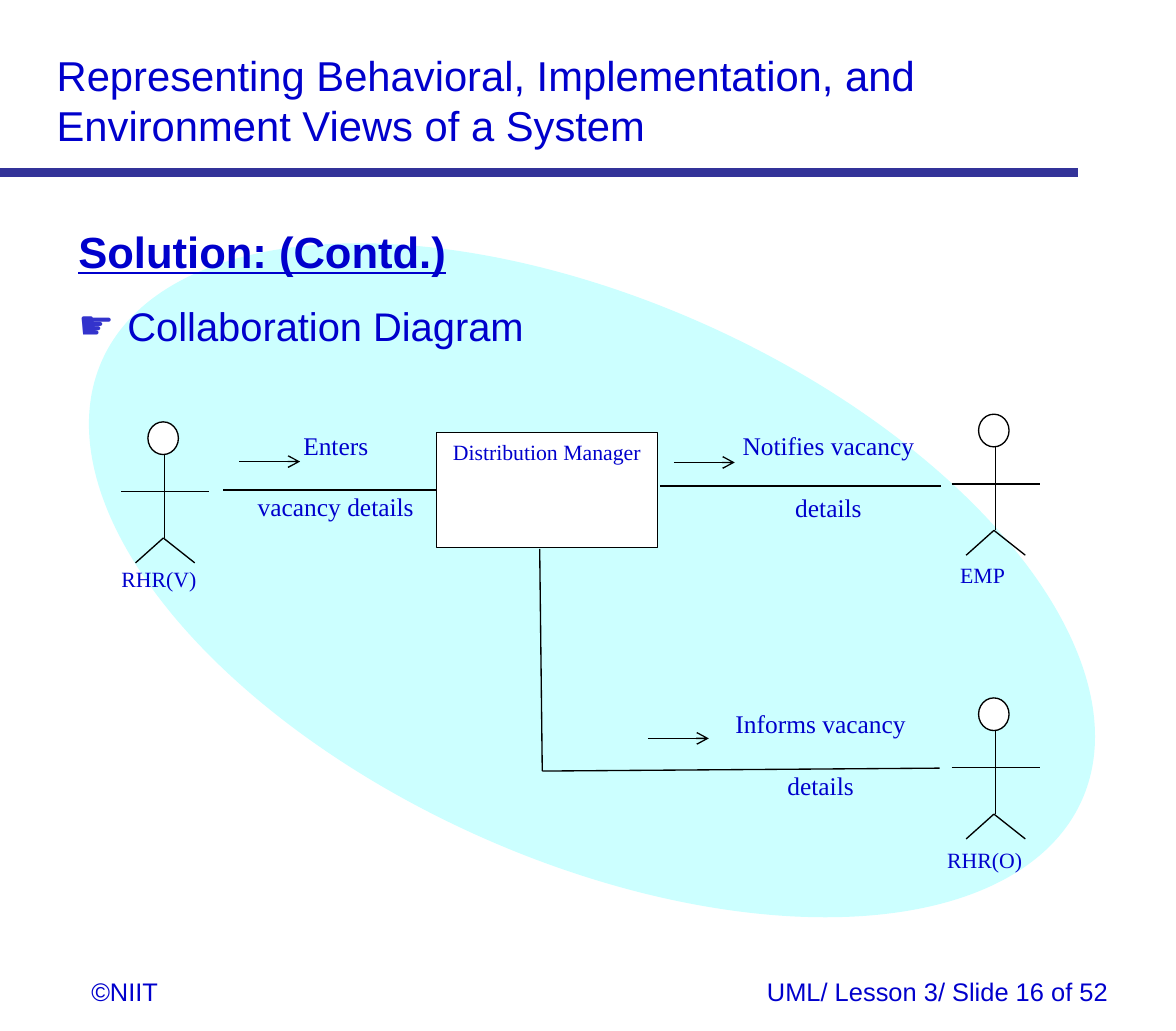
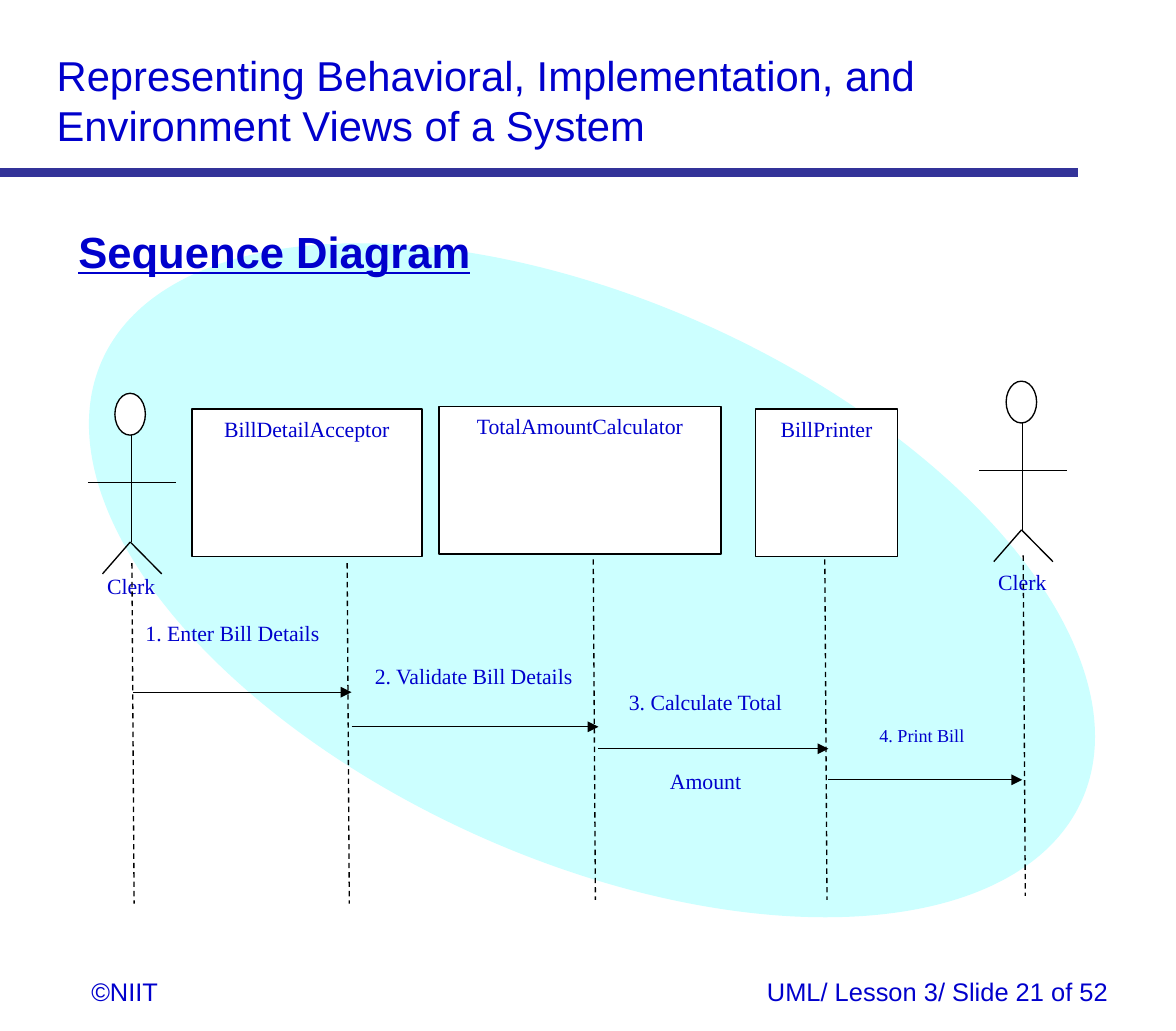
from dataclasses import dataclass
from lxml import etree
from pptx import Presentation
from pptx import util as u
from pptx.dml.color import RGBColor
from pptx.enum import dml, shapes, text
from pptx.oxml.ns import qn


@dataclass(frozen=True)
class Theme:
    ink: RGBColor = RGBColor.from_string("0000CC")
    rule: RGBColor = RGBColor.from_string("333399")
    bullet: str = "3333CC"
    ellipse: RGBColor = RGBColor.from_string("CCFFFF")
    paper: RGBColor = RGBColor.from_string("FFFFFF")
    stroke: RGBColor = RGBColor.from_string("000000")
    sans: str = "Arial"
    serif: str = "Times New Roman"
    title: int = 23
    heading: int = 24
    item: int = 22
    footer: int = 14
    message: int = 14
    label: int = 12
    small: int = 10
    thin: float = 0.75


theme = Theme()
LEFT, CENTER, RIGHT = text.PP_ALIGN.LEFT, text.PP_ALIGN.CENTER, text.PP_ALIGN.RIGHT


def write(frame, lines, size, font=theme.serif, align=CENTER, gap=0):
    frame.word_wrap = True
    frame.auto_size = text.MSO_AUTO_SIZE.NONE
    frame.vertical_anchor = text.MSO_ANCHOR.TOP
    for index, line in enumerate(lines):
        paragraph = frame.paragraphs[0] if index == 0 else frame.add_paragraph()
        paragraph.text = line
        paragraph.alignment = align
        paragraph.space_before = u.Pt(gap if index else 0)
        paragraph.font.size = u.Pt(size)
        paragraph.font.name = font
        paragraph.font.color.rgb = theme.ink


def draw_line(slide, ends, head=None, dashed=False, color=theme.stroke, width=theme.thin):
    connector = slide.shapes.add_connector(shapes.MSO_CONNECTOR.STRAIGHT, *map(u.Pt, ends))
    connector.line.color.rgb = color
    connector.line.width = u.Pt(width)
    if dashed:
        connector.line.dash_style = dml.MSO_LINE.DASH
    properties = connector.element.spPr
    if head:
        etree.SubElement(properties.find(qn("a:ln")), qn("a:tailEnd"), type=head)
    etree.SubElement(properties, qn("a:effectLst"))
    return connector


presentation = Presentation()
presentation.slide_width = u.Pt(648)
presentation.slide_height = u.Pt(568)
layout = presentation.slide_layouts[1]
for index, box in ((0, (24, 24, 561.6, 62.6)), (1, (36, 120.2, 572.4, 404))):
    placeholder = layout.placeholders[index]
    placeholder.left, placeholder.top, placeholder.width, placeholder.height = map(u.Pt, box)
collaboration, sequence = [presentation.slides.add_slide(layout) for _ in range(2)]

ellipse = collaboration.shapes.add_shape(
    shapes.MSO_SHAPE.OVAL, *map(u.Pt, (172.1, 23.8, 308.2, 591.8)))
ellipse.rotation = 294.2
ellipse.shadow.inherit = False
ellipse.fill.solid()
ellipse.fill.fore_color.rgb = theme.ellipse
ellipse.line.fill.background()
rule = draw_line(collaboration, (0, 95, 594, 95), color=theme.rule, width=5)
owner = collaboration.shapes.add_textbox(*map(u.Pt, (43.2, 534.2, 80.6, 24.5)))
write(owner.text_frame, ["©NIIT"], theme.footer, theme.sans, LEFT)
for position, shared in enumerate((ellipse, rule, owner), 2):
    layout.shapes.element.insert(position, shared.element)

for slide, number, heading, items in (
    (collaboration, 16, "Solution: (Contd.)", ["Collaboration Diagram"]),
    (sequence, 21, "Sequence Diagram", []),
):
    write(slide.shapes.title.text_frame,
          ["Representing Behavioral, Implementation, and Environment Views of a System"],
          theme.title, theme.sans, LEFT)
    footer = slide.shapes.add_textbox(*map(u.Pt, (90, 534.2, 527.8, 24.5)))
    write(footer.text_frame, [f"UML/ Lesson 3/ Slide {number} of 52"],
          theme.footer, theme.sans, RIGHT)
    body = slide.placeholders[1].text_frame
    body.text = "\n".join([heading] + items)
    for paragraph in body.paragraphs:
        properties = paragraph._p.get_or_add_pPr()
        if paragraph.text == heading:
            etree.SubElement(properties, qn("a:buNone"))
        else:
            color = etree.SubElement(properties, qn("a:buClr"))
            etree.SubElement(color, qn("a:srgbClr"), val=theme.bullet)
            etree.SubElement(properties, qn("a:buChar"), char="☛")
    write(body, [], theme.item)
    for paragraph in body.paragraphs:
        is_heading = paragraph.text == heading
        paragraph.space_before = u.Pt(0 if is_heading else 13.8)
        paragraph.font.size = u.Pt(theme.heading if is_heading else theme.item)
        paragraph.font.name = theme.sans
        paragraph.font.color.rgb = theme.ink
        paragraph.font.bold = is_heading
        paragraph.font.underline = is_heading

object_boxes = {}
for slide, name, box in (
    (collaboration, "Distribution Manager", (240.5, 238.3, 121.7, 63.4)),
    (sequence, "BillDetailAcceptor", (105.8, 225.4, 126.7, 81.4)),
    (sequence, "TotalAmountCalculator", (241.9, 223.9, 155.5, 81.4)),
    (sequence, "BillPrinter", (416.2, 225.4, 78.5, 81.4)),
):
    shape = slide.shapes.add_shape(shapes.MSO_SHAPE.RECTANGLE, *map(u.Pt, box))
    shape.shadow.inherit = False
    shape.fill.solid()
    shape.fill.fore_color.rgb = theme.paper
    shape.line.color.rgb = theme.stroke
    shape.line.width = u.Pt(theme.thin)
    write(shape.text_frame, [name], theme.label)
    object_boxes[name] = shape

for slide, name, x, top, stretch, label_left, label_top, align in (
    (collaboration, "RHR(V)", 90.7, 232.4, 1, 59.8, 308.2, LEFT),
    (collaboration, "EMP", 548.4, 228.2, 1, 522, 306, LEFT),
    (collaboration, "RHR(O)", 548.4, 384.5, 1, 514.8, 463, LEFT),
    (sequence, "Clerk", 72.5, 216.7, 1.28, 36, 311.8, CENTER),
    (sequence, "Clerk", 563.6, 210, 1.28, 527, 309.6, CENTER),
):
    neck, arm, hip, foot = (top + stretch * drop for drop in (18, 38.4, 64, 77.7))
    head = slide.shapes.add_shape(
        shapes.MSO_SHAPE.FLOWCHART_CONNECTOR, *map(u.Pt, (x - 9.2, top, 16.8, neck - top)))
    head.shadow.inherit = False
    head.fill.solid()
    head.fill.fore_color.rgb = theme.paper
    head.line.color.rgb = theme.stroke
    head.line.width = u.Pt(theme.thin)
    for limb in (
        (x, neck, x, hip),
        (x - 24, arm, x + 24.4, arm),
        (x - 0.7, hip, x - 16, foot),
        (x - 0.7, hip, x + 16.6, foot),
    ):
        draw_line(slide, limb)
    label = slide.shapes.add_textbox(*map(u.Pt, (label_left, label_top, 72.7, 34.6)))
    write(label.text_frame, [name], theme.label, align=align)

entry = draw_line(collaboration, (123.1, 270, 240.5, 270))
entry.end_connect(object_boxes["Distribution Manager"], 1)
for link in (
    (363.6, 267.8, 518.4, 267.8),
    (297.4, 302.4, 298.8, 424.8),
    (517.7, 423.2, 298.8, 424.8),
):
    draw_line(collaboration, link)
for x, y in ((131.8, 254.3), (371.3, 254.8), (357, 406.8)):
    draw_line(collaboration, (x, y, x + 33.6, y), head="arrow")

for x, top in ((72.7, 310.3), (191.3, 310.3), (326.9, 308.2), (454.5, 308.2), (563.8, 306)):
    draw_line(sequence, (x, top, x + 1.2, top + 187.6), dashed=True)
for start, end, y in (
    (73.4, 193.7, 381.4), (193.7, 329.8, 400.4), (329.8, 456.5, 412.5), (456.5, 563.3, 429.6),
):
    draw_line(sequence, (start, y, end, y), head="triangle")

for slide, lines, box, size, gap in (
    (collaboration, ["Enters", "vacancy details"], (129.6, 233.3, 110.9, 83.5), theme.message, 17.2),
    (collaboration, ["Notifies vacancy", "details"], (396, 233.3, 121, 72.7), theme.message, 17.2),
    (collaboration, ["Informs vacancy", "details"], (391.7, 386.6, 121, 72.7), theme.message, 17.2),
    (sequence, ["1. Enter Bill Details"], (57.6, 337.7, 141.1, 49.7), theme.label, 0),
    (sequence, ["2. Validate Bill Details"], (185.8, 361.4, 150.5, 65.5), theme.label, 0),
    (sequence, ["3. Calculate Total", "Amount"], (306, 375.8, 165.6, 88), theme.label, 29),
    (sequence, ["4. Print Bill"], (446.4, 395.3, 123.1, 43.9), theme.small, 0),
):
    message = slide.shapes.add_textbox(*map(u.Pt, box))
    write(message.text_frame, lines, size, gap=gap)

presentation.save("out.pptx")
